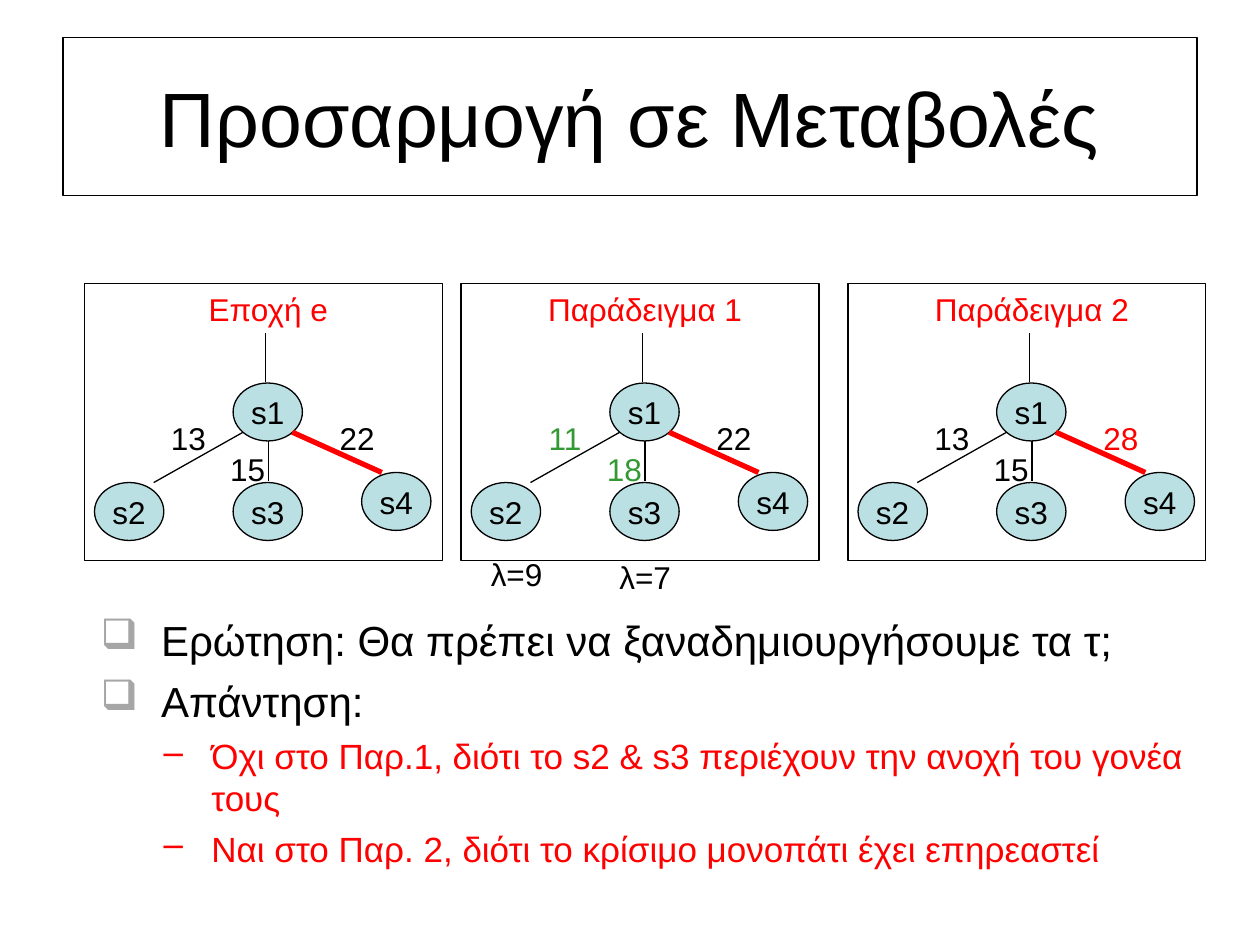
import pptx
import pptx.util
import pptx.dml.color
import pptx.enum.shapes
import pptx.enum.text
import pptx.oxml
import pptx.oxml.ns
from lxml import etree

Inches, Pt = pptx.util.Inches, pptx.util.Pt
RGB = pptx.dml.color.RGBColor.from_string
SHAPE = pptx.enum.shapes.MSO_SHAPE
ANCHOR = pptx.enum.text.MSO_ANCHOR
qn = pptx.oxml.ns.qn

THEME = {
    "font": "Arial",
    "black": "000000", "red": "FF0000", "green": "339933",
    "node": "BBE0E3", "bullet": "A6A6A6",
    "title": 44, "question": 24, "answer": 20, "label": 18,
    "thin": 0.75, "medium": 1, "thick": 3,
}


def box(shapes, at, text="", color="black", size="label", kind=None, fill=None):
    """Add a centred text box, or a preset outlined shape when kind is given."""
    at = [Inches(v) for v in at]
    if kind is None:
        sp = shapes.add_textbox(*at)
    else:
        sp = shapes.add_shape(kind, *at)
        sp.shadow.inherit = False
        sp.line.color.rgb = RGB(THEME["black"])
        sp.line.width = Pt(THEME["thin"])
        if fill:
            sp.fill.solid()
            sp.fill.fore_color.rgb = RGB(THEME[fill])
        else:
            sp.fill.background()
    if text:
        tf = sp.text_frame
        frame = {"word_wrap": kind != SHAPE.OVAL,
                 "vertical_anchor": ANCHOR.MIDDLE if kind else ANCHOR.TOP}
        for name, value in frame.items():
            setattr(tf, name, value)
        p = tf.paragraphs[0]
        p.alignment = pptx.enum.text.PP_ALIGN.CENTER
        style(p.add_run(), text, color, size)
    return sp


def style(r, text, color, size):
    r.text = text
    for name, value in {"name": THEME["font"], "size": Pt(THEME[size])}.items():
        setattr(r.font, name, value)
    r.font.color.rgb = RGB(THEME[color])


prs = pptx.Presentation()
prs.slide_width, prs.slide_height = Inches(10), Inches(7.5)
s = prs.slides.add_slide(prs.slide_layouts[6])

# Title
box(s.shapes, (0.5, 0.3, 9, 1.25), "Προσαρμογή σε Μεταβολές",
    size="title", kind=SHAPE.RECTANGLE)

# Tree layout, with x measured from the left edge of a panel
nodes = [("s1", 1.18, 3.04), ("s3", 1.18, 3.83), ("s2", 0.08, 3.83), ("s4", 2.2, 3.75)]
edges = [
    (1.46, 3.5, 1.46, 3.82, "black", "medium"),
    (0.55, 3.83, 1.26, 3.43, "black", "thin"),
    (2.36, 3.75, 1.65, 3.43, "red", "thick"),
    (1.44, 3.03, 1.44, 2.64, "black", "thin"),
]
weight_places = [(0.55, 3.28), (1.02, 3.52), (1.89, 3.28)]

# Panels: left edge, heading, weights of the edges to s2, s3 and s4
panels = [
    (0.67, "Εποχή e", [("13", "black"), ("15", "black"), ("22", "black")]),
    (3.66, "Παράδειγμα 1", [("11", "green"), ("18", "green"), ("22", "black")]),
    (6.73, "Παράδειγμα 2", [("13", "black"), ("15", "black"), ("28", "red")]),
]
for left, heading, weights in panels:
    shapes = s.shapes.add_group_shape().shapes
    box(shapes, (left, 2.25, 2.84, 2.2), kind=SHAPE.RECTANGLE)
    box(shapes, (left + 0.16, 2.25, 2.6, 0.4), heading, "red")
    for name, x, y in nodes:
        box(shapes, (left + x, y, 0.55, 0.46), name, kind=SHAPE.OVAL, fill="node")
    for x1, y1, x2, y2, color, width in edges:
        line = shapes.add_connector(
            pptx.enum.shapes.MSO_CONNECTOR.STRAIGHT,
            Inches(left + x1), Inches(y1), Inches(left + x2), Inches(y2))
        line.line.color.rgb = RGB(THEME[color])
        line.line.width = Pt(THEME[width])
        etree.SubElement(line._element.spPr, qn("a:effectLst"))
    for (weight, color), (x, y) in zip(weights, weight_places):
        box(shapes, (left + x, y, 0.55, 0.4), weight, color)

# Tolerances under the first example
for text, x, y in [("λ=9", 3.67, 4.36), ("λ=7", 4.69, 4.38)]:
    box(s.shapes, (x, y, 0.86, 0.4), text)

# Question and answer
levels = [
    {"char": "❑", "bullet": "bullet", "color": "black", "size": "question",
     "margin": 0.48, "indent": -0.48, "before": 6},
    {"char": "–", "bullet": "red", "color": "red", "size": "answer",
     "margin": 0.88, "indent": -0.38, "before": 5},
]
lines = [
    (0, "Ερώτηση: Θα πρέπει να ξαναδημιουργήσουμε τα τ;"),
    (0, "Απάντηση:"),
    (1, "Όχι στο Παρ.1, διότι το s2 & s3 περιέχουν την ανοχή του γονέα τους"),
    (1, "Ναι στο Παρ. 2, διότι το κρίσιμο μονοπάτι έχει επηρεαστεί"),
]
tf = box(s.shapes, (0.7, 4.83, 8.83, 2.36)).text_frame
tf.word_wrap = True
for i, (level, text) in enumerate(lines):
    look = levels[level]
    p = tf.add_paragraph() if i else tf.paragraphs[0]
    for name, value in {"level": level, "space_before": Pt(look["before"])}.items():
        setattr(p, name, value)
    pPr = p._p.get_or_add_pPr()
    pPr.set("marL", str(Inches(look["margin"])))
    pPr.set("indent", str(Inches(look["indent"])))
    color = etree.SubElement(pPr, qn("a:buClr"))
    etree.SubElement(color, qn("a:srgbClr"), val=THEME[look["bullet"]])
    etree.SubElement(pPr, qn("a:buChar"), char=look["char"])
    style(p.add_run(), text, look["color"], look["size"])

prs.save("out.pptx")
